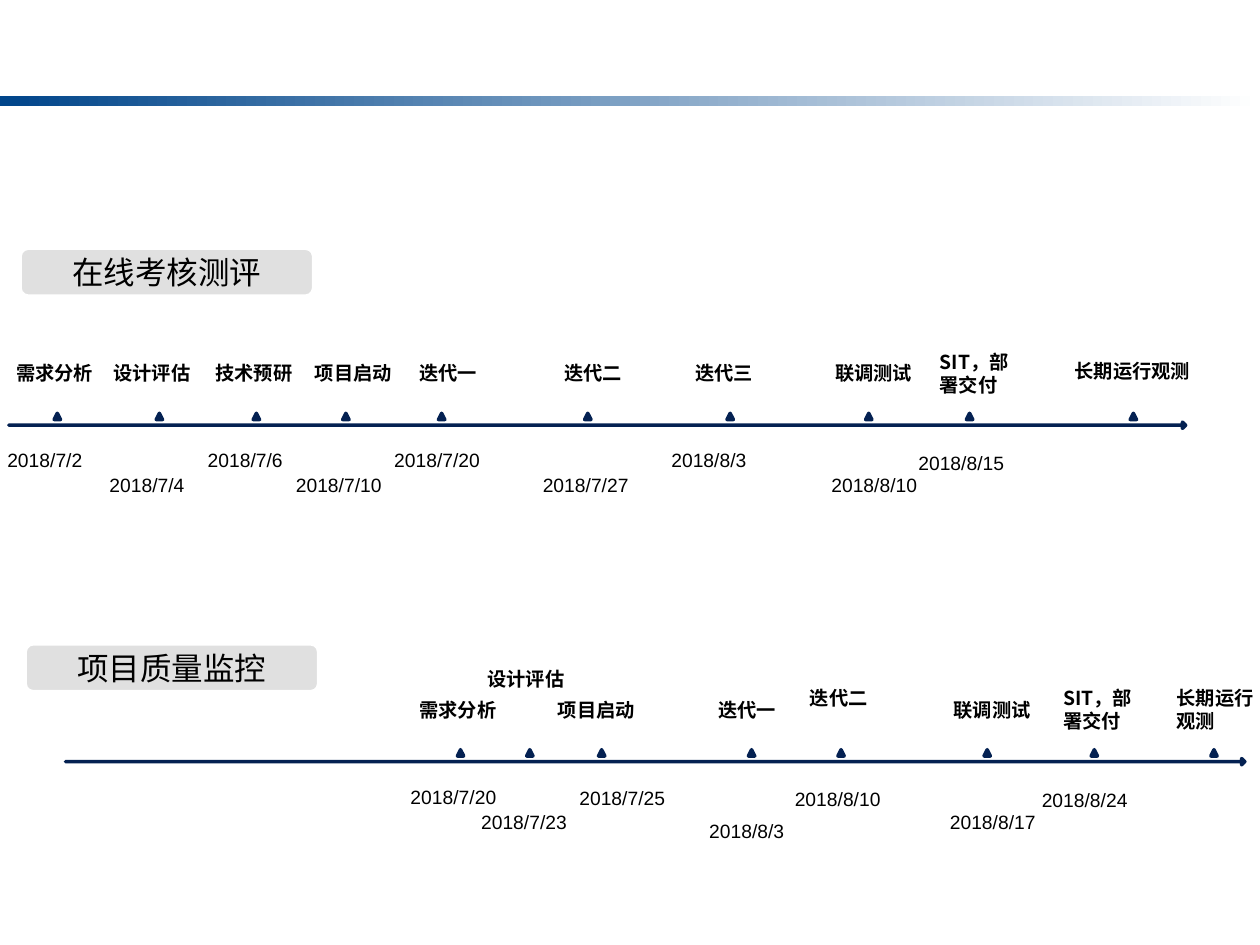
from pptx import Presentation
from pptx.dml.color import RGBColor
from pptx.enum.shapes import MSO_SHAPE
from pptx.enum.text import MSO_ANCHOR, MSO_AUTO_SIZE, PP_ALIGN
from pptx.util import Inches, Pt
from lxml import etree

RECTANGLE = MSO_SHAPE.RECTANGLE
ROUNDED = MSO_SHAPE.ROUNDED_RECTANGLE
ARROW = MSO_SHAPE.RIGHT_ARROW
TRIANGLE = MSO_SHAPE.FLOWCHART_EXTRACT
MIDDLE = MSO_ANCHOR.MIDDLE
CENTER = PP_ALIGN.CENTER
LEFT = PP_ALIGN.LEFT
GROW = MSO_AUTO_SIZE.SHAPE_TO_FIT_TEXT

WIDTH, HEIGHT = Inches(10), Inches(7.5)
COLUMN, ROW = WIDTH / 100, HEIGHT / 75
LABEL_FONT = "Noto Sans CJK SC"
DRAWING = "http://schemas.openxmlformats.org/drawingml/2006/main"

HEADING = {"size": Pt(18), "name": "Arial", "bold": False}
LABEL = {"size": Pt(11), "name": LABEL_FONT, "bold": True}
DATE = {"size": Pt(11), "name": "Arial", "bold": False}

LABEL_ROW, MARKER_ROW, AXIS_ROW = 0, 4.6, 5.3
MARKER_SIZE = 0.5
DATE_WIDTH = 9.3

# marker column, label, label column, label width, label row, date, date column, date row
ASSESSMENT = [
    (4.3, "需求分析", 0.3, 8.6, 0, "2018/7/2", -0.4, 6.9),
    (12.4, "设计评估", 8, 8.7, 0, "2018/7/4", 7.7, 8.9),
    (20.1, "技术预研", 16.1, 8.8, 0, "2018/7/6", 15.5, 6.9),
    (27.2, "项目启动", 24, 8.8, 0, "2018/7/10", 22.5, 8.9),
    (34.8, "迭代一", 32.3, 7.1, 0, "2018/7/20", 30.3, 6.9),
    (46.4, "迭代二", 43.8, 7.2, 0, "2018/7/27", 42.1, 8.9),
    (57.7, "迭代三", 54.2, 7.4, 0, "2018/8/3", 52.3, 6.9),
    (68.7, "联调测试", 65.3, 8.3, 0, "2018/8/10", 65, 8.9),
    (76.7, "SIT，部署交付", 73.6, 8, -0.9, "2018/8/15", 71.9, 7.1),
    (89.7, "长期运行观测", 84.3, 11.4, -0.2, None, None, None),
]
MONITORING = [
    (36.3, "需求分析", 32.3, 8.6, 0, "2018/7/20", 31.6, 6.9),
    (41.8, "设计评估", 37.7, 8.7, -2.4, "2018/7/23", 37.2, 8.9),
    (47.5, "项目启动", 43.3, 8.8, 0, "2018/7/25", 45, 7),
    (59.4, "迭代一", 56, 7.1, 0, "2018/8/3", 55.3, 9.6),
    (66.5, "迭代二", 63.3, 7.2, -0.9, "2018/8/10", 62.1, 7.1),
    (78.1, "联调测试", 74.7, 8.3, 0, "2018/8/17", 74.4, 8.9),
    (86.6, "SIT，部署交付", 83.4, 8, -0.9, "2018/8/24", 81.7, 7.2),
    (96.1, "长期运行观测", 92.4, 9, -0.9, None, None, None),
]


def color(value):
    return RGBColor.from_string(value)


def place(box):
    left, top, width, height = box
    return [round(n) for n in (left * COLUMN, top * ROW, width * COLUMN, height * ROW)]


def add_shape(page, kind, box, fill, line):
    shape = page.shapes.add_shape(kind, *place(box))
    shape.shadow.inherit = False
    shape.fill.solid()
    shape.fill.fore_color.rgb = color(fill)
    shape.line.color.rgb = color(line)
    shape.line.width = Pt(2)
    return shape


def write(frame, text, style, align):
    frame.word_wrap = True
    para = frame.paragraphs[0]
    para.alignment = align
    span = para.add_run()
    span.text = text
    for key, value in style.items():
        setattr(span.font, key, value)
    span.font.color.rgb = color("000000")
    east_asian = etree.SubElement(span.font._element, f"{{{DRAWING}}}ea")
    east_asian.set("typeface", LABEL_FONT)


def add_text(page, box, text, style):
    frame = page.shapes.add_textbox(*place(box)).text_frame
    write(frame, text, style, LEFT)
    frame.auto_size = GROW


def add_band(page, box):
    band = page.shapes.add_shape(RECTANGLE, *place(box))
    band.shadow.inherit = False
    band.line.fill.background()
    band.fill.gradient()
    band.fill.gradient_angle = 0
    for stop, value in zip(band.fill.gradient_stops, ("00458A", "FFFFFF")):
        stop.color.rgb = color(value)


def add_heading(page, box, text):
    heading = add_shape(page, ROUNDED, box, "E0E0E0", "FFFFFF")
    heading.text_frame.vertical_anchor = MIDDLE
    write(heading.text_frame, text, HEADING, CENTER)


def add_timeline(page, box, axis_start, axis_width, milestones):
    left, top = box[:2]
    axis_box = (left + axis_start, top + AXIS_ROW, axis_width, 0.5)
    axis = add_shape(page, ARROW, axis_box, "000000", "042152")
    axis.adjustments[0] = 0
    axis.adjustments[1] = 0.5
    for marker, label, label_at, label_width, label_row, date, date_at, date_row in milestones:
        marker_box = (left + marker, top + MARKER_ROW, MARKER_SIZE, MARKER_SIZE)
        add_shape(page, TRIANGLE, marker_box, "052D6F", "042152")
        label_box = (left + label_at, top + LABEL_ROW + label_row, label_width, 3)
        add_text(page, label_box, label, LABEL)
        if date:
            add_text(page, (left + date_at, top + date_row, DATE_WIDTH, 2.8), date, DATE)


def main():
    deck = Presentation()
    deck.slide_width, deck.slide_height = WIDTH, HEIGHT
    page = deck.slides.add_slide(deck.slide_layouts[6])
    add_band(page, (0, 7.6, 100, 0.8))
    add_heading(page, (1.6, 19.7, 23.3, 3.8), "在线考核测评")
    add_timeline(page, (0, 28.2, 100, 12), 0.7, 93.4, ASSESSMENT)
    add_heading(page, (2, 51.1, 23.3, 3.8), "项目质量监控")
    add_timeline(page, (0, 54.9, 100, 12), 5.2, 93.6, MONITORING)
    deck.save("out.pptx")


if __name__ == "__main__":
    main()
